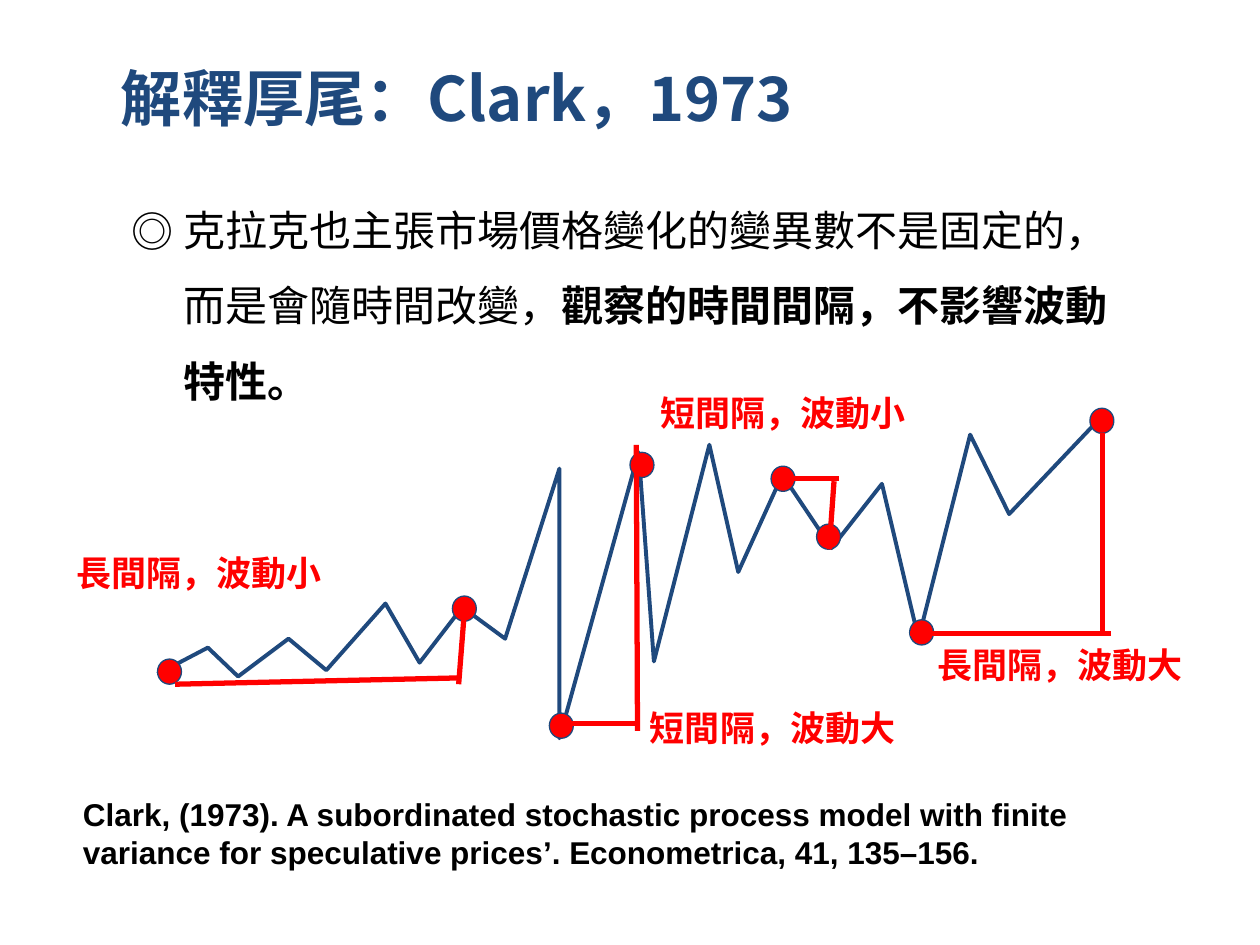
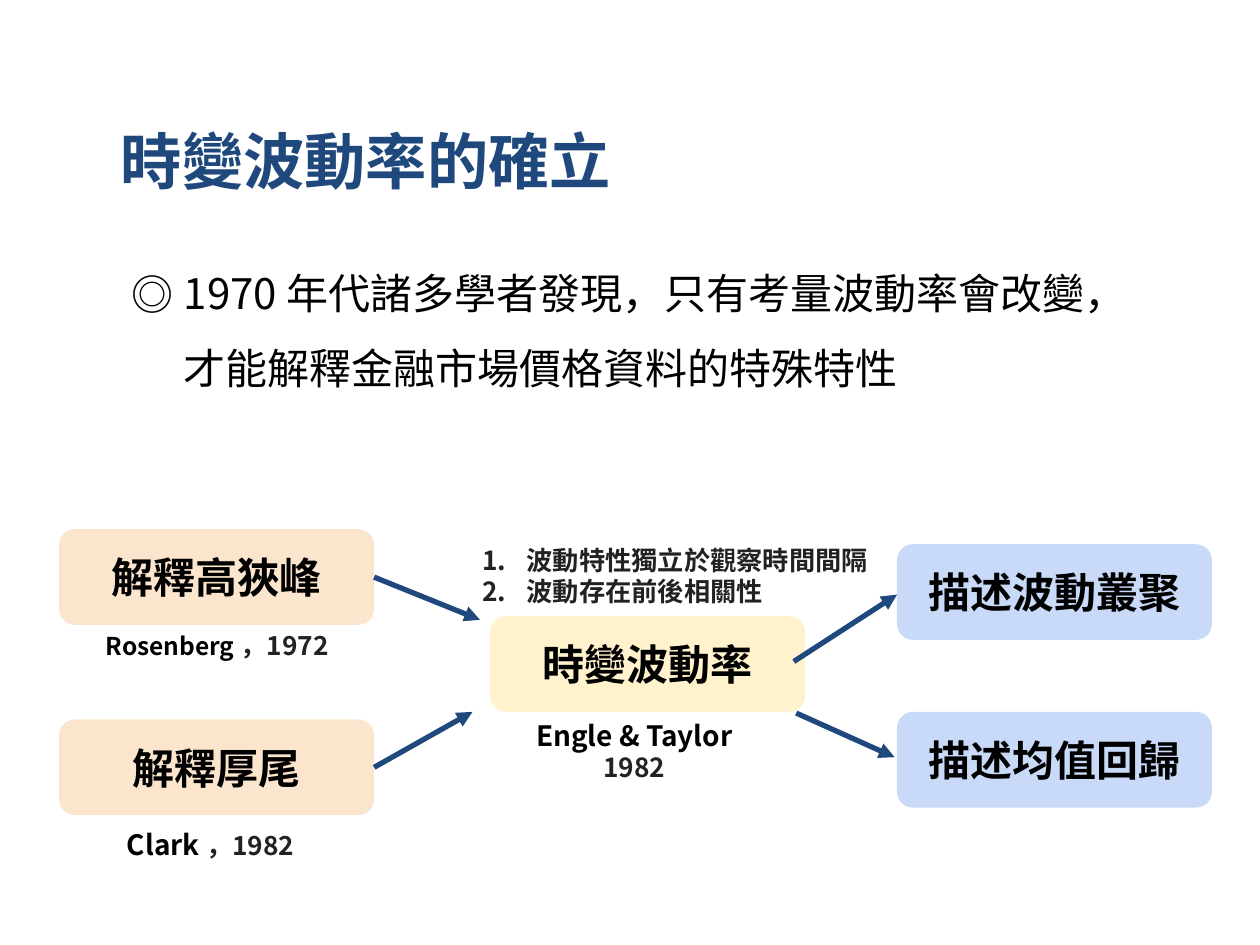
from lxml import etree
from pptx import Presentation
from pptx.dml.color import RGBColor
from pptx.enum.shapes import MSO_CONNECTOR, MSO_SHAPE
from pptx.enum.text import MSO_ANCHOR, PP_ALIGN
from pptx.oxml.ns import qn
from pptx.util import Pt

STRAIGHT = MSO_CONNECTOR.STRAIGHT
ELLIPSE, ROUNDED = MSO_SHAPE.OVAL, MSO_SHAPE.ROUNDED_RECTANGLE
TOP, MIDDLE, BOTTOM = MSO_ANCHOR.TOP, MSO_ANCHOR.MIDDLE, MSO_ANCHOR.BOTTOM
LEFT, CENTER = PP_ALIGN.LEFT, PP_ALIGN.CENTER

CJK, LATIN = "Noto Sans CJK TC", "Arial"
NAVY, RED, BLACK, GREY = "1F497D", "FF0000", "000000", "222222"
PEACH, CREAM, SKY = "FCE5CD", "FFF2CC", "C9DAF8"
MARGIN = 7.2
DOT_WIDTH, DOT_HEIGHT = 13.7, 14.4
STAGE_WIDTH, STAGE_HEIGHT = 180, 54.7

PRICE_PATH = [
    (90, 385.2), (118.8, 370.1), (136.1, 386.6), (164.9, 365), (186.5, 383),
    (220.3, 344.9), (239.8, 378.7), (264.2, 347), (288.7, 365), (319.7, 267.8),
    (319.7, 421.9), (365, 258.5), (373.7, 378), (405.4, 254.2), (421.9, 326.9),
    (447.1, 271.4), (475.2, 313.2), (504, 276.5), (524.9, 365), (554.4, 248.4),
    (576.7, 293.8), (630, 237.6)]
OBSERVATIONS = [
    (90, 376.6), (258.5, 340.6), (360, 258.5), (313.9, 407.5),
    (440.6, 266.4), (466.6, 299.5), (519.8, 354.2), (622.8, 233.3)]
INTERVALS = [
    (100.1, 391, 262.1, 387.4), (265, 354.2, 262.1, 391),
    (362.9, 413.3, 321.1, 413.3), (364.3, 417.6, 363.6, 254.2),
    (479.5, 273.6, 445.7, 273.6), (473.8, 313.9, 476.6, 275),
    (635, 362.2, 519.8, 362.2), (630, 362.2, 630, 247.7)]
INTERVAL_NOTES = [
    ("長間隔，波動小", 36.7, 308.2, 217.4), ("短間隔，波動大", 364.3, 396.7, 224.6),
    ("短間隔，波動小", 370.1, 216.7, 247), ("長間隔，波動大", 528.5, 360.7, 223.2)]
STAGES = [
    ("解釋高狹峰", 33.8, 302.4, PEACH), ("解釋厚尾", 33.8, 411.1, PEACH),
    ("時變波動率", 280.1, 352.1, CREAM),
    ("描述波動叢聚", 512.6, 311, SKY), ("描述均值回歸", 512.6, 406.8, SKY)]
FLOWS = [
    (213.8, 329.8, 274.3, 354.2), (213.8, 438.5, 270, 406.8),
    (453.6, 378, 512.6, 339.8), (455, 407.5, 511.2, 432.7)]


def color(hex_code):
    """Turn a hex string into a colour."""
    return RGBColor.from_string(hex_code)


def run(text, size, hue=BLACK, bold=True, font=CJK):
    """Describe one run of text."""
    return text, size, hue, bold, font


def add_runs(paragraph, runs):
    """Fill a paragraph run by run, with one font for all scripts."""
    for text, size, hue, bold, font in runs:
        piece = paragraph.add_run()
        piece.text = text
        piece.font.size, piece.font.bold = Pt(size), bold
        piece.font.color.rgb = color(hue)
        piece.font.name = font
        east_asian = etree.SubElement(piece.font._element, qn("a:ea"))
        east_asian.set("typeface", font)


def fill_text(shape, paragraphs, anchor=TOP, align=LEFT, margin=MARGIN):
    """Write paragraphs of runs into a shape."""
    frame = shape.text_frame
    frame.word_wrap, frame.vertical_anchor = True, anchor
    frame.margin_left = frame.margin_right = Pt(MARGIN)
    frame.margin_top = frame.margin_bottom = Pt(margin)
    for index, runs in enumerate(paragraphs):
        paragraph = frame.add_paragraph() if index else frame.paragraphs[0]
        paragraph.alignment = align
        add_runs(paragraph, runs)
    return frame


def add_text(slide, box, paragraphs, **options):
    """Place a text box and return its text frame."""
    return fill_text(slide.shapes.add_textbox(*map(Pt, box)), paragraphs, **options)


def add_bullet(paragraph, hanging, hue, tag, **attributes):
    """Give a paragraph a hanging bullet or number."""
    properties = paragraph._p.get_or_add_pPr()
    properties.set("marL", str(Pt(36)))
    properties.set("indent", str(-Pt(hanging)))
    bullet_color = etree.SubElement(properties, qn("a:buClr"))
    etree.SubElement(bullet_color, qn("a:srgbClr")).set("val", hue)
    etree.SubElement(properties, qn("a:buFont")).set("typeface", CJK)
    etree.SubElement(properties, qn(tag), attributes)


def add_heading(slide, top, title, body_runs, body_height):
    """Add the slide title and the bulleted statement below it."""
    add_text(slide, (61.9, top, 596.2, 73.4), [[run(title, 35, NAVY)]], anchor=BOTTOM)
    frame = add_text(slide, (61.9, top + 85, 596.2, body_height), [body_runs])
    statement = frame.paragraphs[0]
    statement.line_spacing, statement.space_before = 1.5, Pt(6)
    add_bullet(statement, 30, BLACK, "a:buChar", char="◎")


def add_line(slide, ends, hue, arrow=False):
    """Draw a straight line, with an arrowhead if asked."""
    line = slide.shapes.add_connector(STRAIGHT, *map(Pt, ends))
    line.line.color.rgb, line.line.width = color(hue), Pt(3)
    if arrow:
        etree.SubElement(line.line._get_or_add_ln(), qn("a:tailEnd")).set("type", "triangle")
    etree.SubElement(line._element.spPr, qn("a:effectLst"))


def add_price_path(slide):
    """Draw the zigzag of prices."""
    points = [(Pt(x), Pt(y)) for x, y in PRICE_PATH]
    builder = slide.shapes.build_freeform(*points[0], scale=1.0)
    builder.add_line_segments(points[1:], close=False)
    prices = builder.convert_to_shape()
    prices.shadow.inherit = False
    prices.fill.background()
    prices.line.color.rgb, prices.line.width = color(NAVY), Pt(2.25)


def add_solid(slide, kind, box, hue):
    """Add a preset shape with a plain fill."""
    solid = slide.shapes.add_shape(kind, *map(Pt, box))
    solid.shadow.inherit = False
    solid.fill.solid()
    solid.fill.fore_color.rgb = color(hue)
    return solid


def add_observation(slide, left, top):
    """Mark an observed price with a dot."""
    dot = add_solid(slide, ELLIPSE, (left, top, DOT_WIDTH, DOT_HEIGHT), RED)
    dot.line.color.rgb, dot.line.width = color(NAVY), Pt(0.75)


def add_stage(slide, label, left, top, hue):
    """Add a rounded box of the flow."""
    stage = add_solid(slide, ROUNDED, (left, top, STAGE_WIDTH, STAGE_HEIGHT), hue)
    stage.line.fill.background()
    fill_text(stage, [[run(label, 24)]], anchor=MIDDLE, align=CENTER)


def build_fat_tails(slide):
    """Show volatility over short and long intervals."""
    add_heading(slide, 10.1, "解釋厚尾：Clark，1973", [
        run("克拉克也主張市場價格變化的變異數不是固定的，而是會隨時間改變，", 24, bold=False),
        run("觀察的時間間隔，不影響波動特性。", 24)], 148.3)
    add_price_path(slide)
    for left, top in OBSERVATIONS:
        add_observation(slide, left, top)
    for ends in INTERVALS:
        add_line(slide, ends, RED)
    for note, left, top, width in INTERVAL_NOTES:
        add_text(slide, (left, top, width, 43.2), [[run(note, 20, RED)]])
    reference = ("Clark, (1973). A subordinated stochastic process model with finite "
                 "variance for speculative prices’. Econometrica, 41, 135–156.")
    add_text(slide, (40.3, 450.7, 595.4, 51.1),
             [[run(reference, 18, font=LATIN)]], margin=3.6)


def build_time_varying(slide):
    """Show how time-varying volatility was established."""
    add_heading(slide, 46.1, "時變波動率的確立", [
        run("1970 年代諸多學者發現，只有考量波動率會改變，才能解釋金融市場價格資料的特殊特性",
            24, bold=False)], 106.6)
    for stage in STAGES:
        add_stage(slide, *stage)
    for ends in FLOWS:
        add_line(slide, ends, NAVY, arrow=True)
    add_text(slide, (53.3, 352.1, 147.6, 39.6),
             [[run("Rosenberg ", 14), run("，1972", 15, GREY)]])
    add_text(slide, (65.5, 465.8, 126.7, 39.6),
             [[run("Clark ", 16), run("，1982", 15, GREY)]])
    add_text(slide, (295.2, 403.2, 134.6, 48.2),
             [[run("Engle & Taylor", 16)], [run("1982", 15, GREY)]], align=CENTER)
    findings = add_text(slide, (257.8, 303.8, 259.9, 49), [
        [run("波動特性獨立於觀察時間間隔", 15, GREY)], [run("波動存在前後相關性", 15, GREY)]])
    for finding in findings.paragraphs:
        add_bullet(finding, 25.2, GREY, "a:buAutoNum", type="arabicPeriod")


def main():
    """Build and save the two slides."""
    deck = Presentation()
    deck.slide_width, deck.slide_height = Pt(720), Pt(540)
    blank = deck.slide_layouts[6]
    for build in (build_fat_tails, build_time_varying):
        build(deck.slides.add_slide(blank))
    deck.save("out.pptx")


if __name__ == "__main__":
    main()
